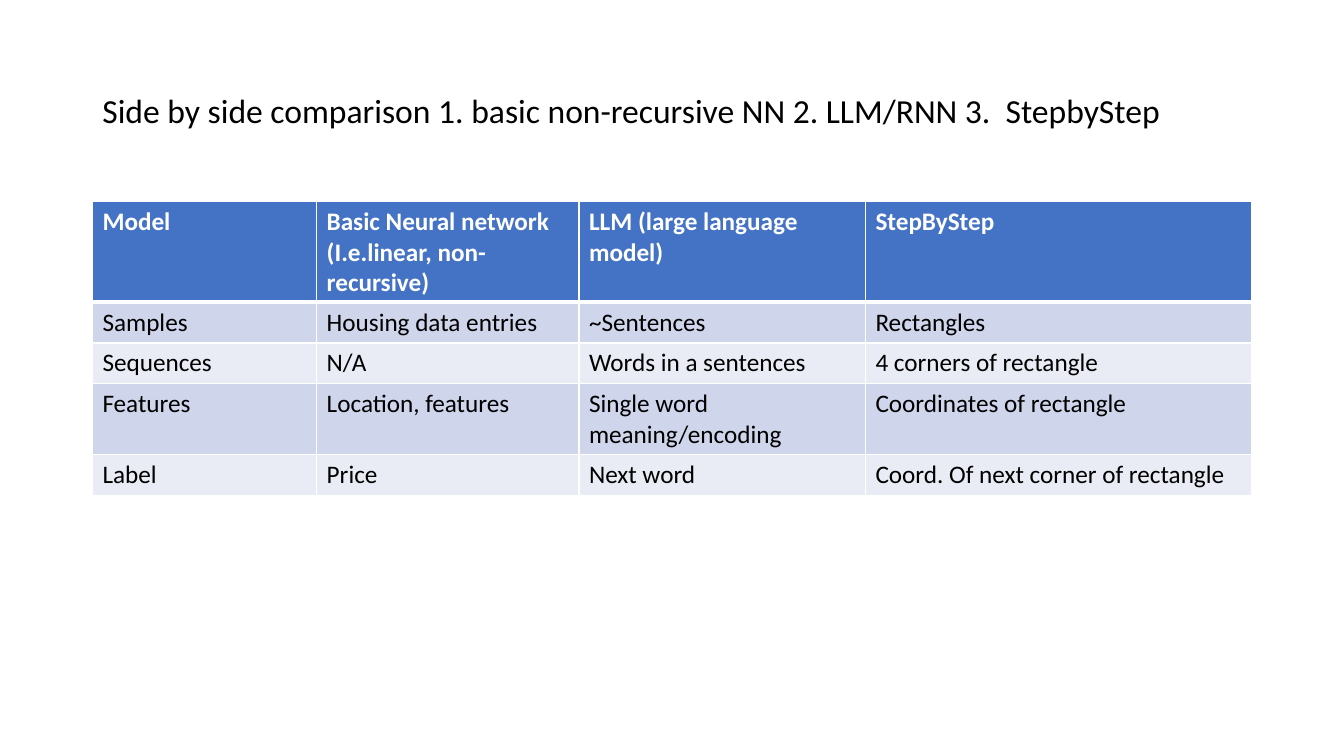
from dataclasses import dataclass

from pptx import Presentation
from pptx.dml.color import RGBColor as Rgb
from pptx.enum.text import MSO_ANCHOR as Anchor
from pptx.oxml.ns import qn
from pptx.util import Cm, Pt
from lxml.etree import SubElement as Sub


@dataclass(frozen=True)
class Theme:
    font: str = "Calibri"
    title: int = 24
    body: int = 18
    ink: str = "000000"
    white: str = "FFFFFF"
    head: str = "4472C4"
    bands: tuple = ("CFD5EA", "E9EBF5")
    thin: int = 1
    thick: int = 3


THEME = Theme()
TITLE = "Side by side comparison 1. basic non-recursive NN 2. LLM/RNN 3.  StepbyStep"
COLS = (5.65, 6.61, 7.22, 9.73)
ROWS = (
    ("Model", "Basic Neural network (I.e.linear, non-recursive)",
     "LLM (large language model)", "StepByStep"),
    ("Samples", "Housing data entries", "~Sentences", "Rectangles"),
    ("Sequences", "N/A", "Words in a sentences", "4 corners of rectangle"),
    ("Features", "Location, features", "Single word meaning/encoding",
     "Coordinates of rectangle"),
    ("Label", "Price", "Next word", "Coord. Of next corner of rectangle"),
)


def write(frame, text, size=THEME.body, color=THEME.ink, bold=False, space=1.0):
    frame.word_wrap = True
    para = frame.paragraphs[0]
    para.line_spacing = space
    run = para.add_run()
    run.text = text
    font = run.font
    font.name, font.size, font.bold = THEME.font, Pt(size), bold
    font.color.rgb = Rgb.from_string(color)


def edge(cell, side, width):
    line = Sub(cell._tc.get_or_add_tcPr(), qn(f"a:ln{side}"), w=str(Pt(width)))
    fill = Sub(line, qn("a:solidFill"))
    Sub(fill, qn("a:srgbClr"), val=THEME.white)


def add_title(slide, left, top, width, height):
    box = slide.shapes.add_textbox(Cm(left), Cm(top), Cm(width), Cm(height))
    box.text_frame.vertical_anchor = Anchor.MIDDLE
    write(box.text_frame, TITLE, size=THEME.title, space=0.9)


def add_grid(slide, left, top, width, height):
    table = slide.shapes.add_table(
        len(ROWS), len(COLS), Cm(left), Cm(top), Cm(width), Cm(height)
    ).table
    for col, share in zip(table.columns, COLS):
        col.width = Cm(width * share / sum(COLS))
    for r, row in enumerate(ROWS):
        head = r == 0
        shade = THEME.head if head else THEME.bands[(r - 1) % 2]
        for c, text in enumerate(row):
            cell = table.cell(r, c)
            for side in "LRTB":
                rule = (r, side) in ((0, "B"), (1, "T"))
                edge(cell, side, THEME.thick if rule else THEME.thin)
            cell.fill.solid()
            cell.fill.fore_color.rgb = Rgb.from_string(shade)
            write(cell.text_frame, text, bold=head,
                  color=THEME.white if head else THEME.ink)


def main():
    deck = Presentation()
    deck.slide_width, deck.slide_height = Cm(33.87), Cm(19.05)
    slide = deck.slides.add_slide(deck.slide_layouts[6])
    left, width = 2.33, 29.21
    add_title(slide, left, 1.01, width, 3.68)
    add_grid(slide, left, 5.07, width, 5.15)
    deck.save("out.pptx")


if __name__ == "__main__":
    main()
